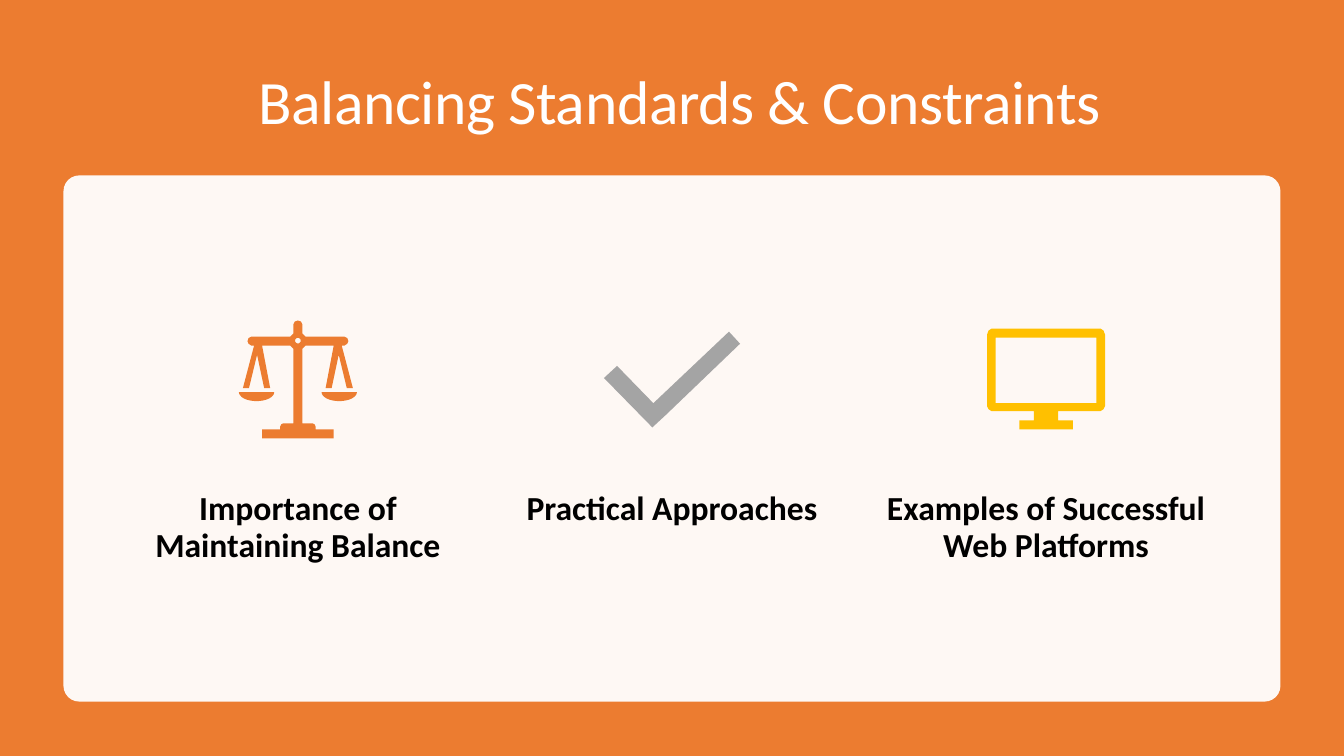
from dataclasses import dataclass
from math import cos, pi, sin

from lxml.etree import SubElement
from pptx import Presentation
from pptx.dml.color import RGBColor as RGB
from pptx.enum.shapes import MSO_SHAPE as SHAPE
from pptx.enum.text import MSO_ANCHOR as ANCHOR, MSO_AUTO_SIZE as FIT, PP_ALIGN as ALIGN
from pptx.oxml.ns import qn
from pptx.util import Inches, Pt


@dataclass(frozen=True)
class Theme:
    font: str = "Calibri"
    orange: RGB = RGB(0xEC, 0x7C, 0x30)
    gray: RGB = RGB(0xA4, 0xA4, 0xA4)
    yellow: RGB = RGB(0xFF, 0xC0, 0x00)
    white: RGB = RGB(0xFF, 0xFF, 0xFF)
    black: RGB = RGB(0, 0, 0)
    title: Pt = Pt(44)
    label: Pt = Pt(24)
    leading: Pt = Pt(26.4)


T = Theme()
W, H = 13.33, 7.5
CARD = (0.63, 1.74, 12.07, 5.22)
COL_PITCH, COL_W = 3.71, 3.3
ICON_TOP, LABEL_TOP = 1.44, 3.05


def mirrored(half):
    return half + [(-x, y) for x, y in reversed(half)]


def arc(cx, cy, rx, ry, turn, steps=16):
    angles = [turn * i / steps for i in range(steps + 1)]
    return [(cx + rx * cos(a), cy + ry * sin(a)) for a in angles]


def scales():
    stand = [(0, 0), (3, 1), (4.5, 4), (4.5, 13), (7.5, 16), (46, 16), (49, 17.5),
             (50, 20.5), (49, 23), (46, 25), (43.5, 25), (54.5, 67), (48.5, 67),
             (40.5, 34), (33.5, 67), (27.5, 67), (35.5, 25), (7.5, 25), (4.5, 28),
             (4.5, 102), (14.5, 102), (16.5, 103), (17.5, 105), (17.5, 108),
             (35.5, 108), (35.5, 117)]
    pans = [arc(side * 41, 71, 17.5, 9, pi) for side in (-1, 1)]
    return [mirrored(stand), arc(0, 20, 2.8, 2.8, 2 * pi), *pans]


def check():
    return [[(-67.5, 57), (-54.5, 45), (-18.5, 82), (56.5, 11), (67.5, 23),
             (-6.5, 94), (-19.5, 106)]]


def monitor():
    outline = [(54, 8), (57, 10), (58.5, 14), (58.5, 85), (57, 88), (54, 90),
               (12, 90), (12, 99), (26.5, 99), (26.5, 108)]
    return [mirrored(outline), mirrored([(50, 17), (50, 82)])]


def paint(sp, color):
    sp.shadow.inherit = False
    sp.fill.solid()
    sp.fill.fore_color.rgb = color
    sp.line.fill.background()


def style(p, size, color, bold=False):
    p.alignment = ALIGN.CENTER
    p.font.name, p.font.size, p.font.bold = T.font, size, bold
    p.font.color.rgb = color


def set_frame(tf, top):
    tf.word_wrap, tf.auto_size = True, FIT.NONE
    tf.vertical_anchor = ANCHOR.TOP
    tf.margin_left = tf.margin_right = tf.margin_bottom = 0
    tf.margin_top = Inches(top)


def add_title(s, text, left, top, width, height):
    sp = s.shapes.title
    sp.left, sp.top, sp.width, sp.height = map(Inches, (left, top, width, height))
    sp.text = text
    set_frame(sp.text_frame, 0.62)
    p = sp.text_frame.paragraphs[0]
    style(p, T.title, T.white)
    p.runs[0].font._element.set("spc", "-30")


def add_icon(s, contours, color, cx, top):
    first, *rest = [[(x * 10, y * 10) for x, y in c] for c in contours]
    fb = s.shapes.build_freeform(*first[0], scale=Inches(1) / 1000)
    fb.add_line_segments(first[1:], close=True)
    for contour in rest:
        fb.move_to(*contour[0])
        fb.add_line_segments(contour[1:], close=True)
    paint(fb.convert_to_shape(Inches(cx), Inches(top)), color)


def add_label(s, text, cx, top):
    sp = s.shapes.add_textbox(*map(Inches, (cx - COL_W / 2, top, COL_W, 0.8)))
    tf = sp.text_frame
    set_frame(tf, 0.07)
    tf.text = text
    p = tf.paragraphs[0]
    style(p, T.label, T.black, bold=True)
    p.line_spacing = T.leading


def add_card(s, items, left, top, width, height):
    sp = s.shapes.add_shape(SHAPE.ROUNDED_RECTANGLE, *map(Inches, (left, top, width, height)))
    sp.adjustments[0] = 0.03
    paint(sp, T.white)
    color = sp.fill._xPr.find(qn("a:solidFill"))[0]
    SubElement(color, qn("a:alpha")).set("val", "95000")
    middle = left + width / 2
    for i, (text, icon, tint) in enumerate(items):
        cx = middle + (i - (len(items) - 1) / 2) * COL_PITCH
        add_icon(s, icon(), tint, cx, top + ICON_TOP)
        add_label(s, text, cx, top + LABEL_TOP)


def main():
    prs = Presentation()
    prs.slide_width, prs.slide_height = Inches(W), Inches(H)
    s = prs.slides.add_slide(prs.slide_layouts[5])
    s.background.fill.solid()
    s.background.fill.fore_color.rgb = T.orange
    add_title(s, "Balancing Standards & Constraints", 0.51, 0, 12.46, CARD[1])
    add_card(s, [
        ("Importance of Maintaining Balance", scales, T.orange),
        ("Practical Approaches", check, T.gray),
        ("Examples of Successful Web Platforms", monitor, T.yellow),
    ], *CARD)
    prs.save("out.pptx")


if __name__ == "__main__":
    main()
